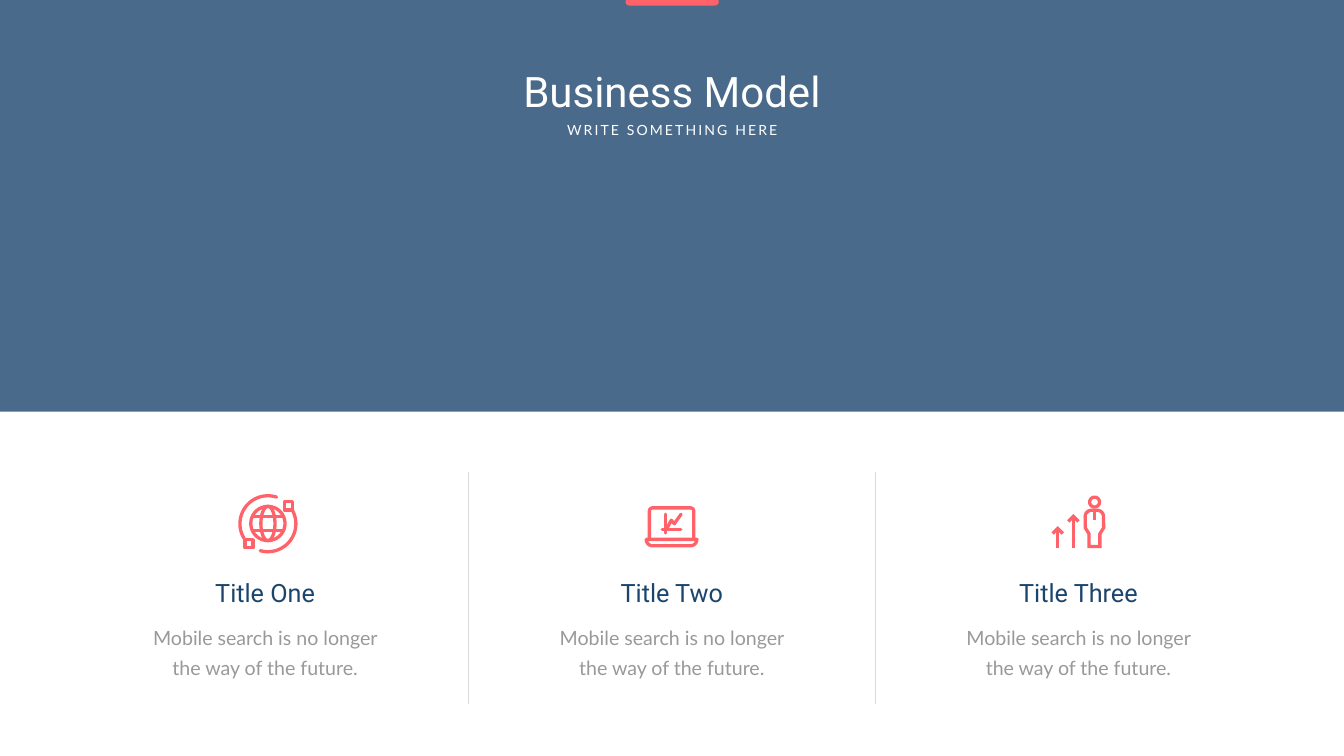
from dataclasses import dataclass
from math import cos, radians, sin

from lxml.etree import SubElement
from pptx import Presentation
from pptx.dml.color import RGBColor
from pptx.enum.shapes import MSO_CONNECTOR, MSO_SHAPE
from pptx.enum.text import MSO_ANCHOR, MSO_AUTO_SIZE, PP_ALIGN
from pptx.oxml.ns import qn
from pptx.util import Cm, Pt

Point = tuple[float, float]


@dataclass(frozen=True)
class Theme:
    navy: RGBColor = RGBColor(0x1C, 0x45, 0x6D)
    coral: RGBColor = RGBColor(0xFF, 0x62, 0x69)
    gray: RGBColor = RGBColor(0x99, 0x99, 0x99)
    rule: RGBColor = RGBColor(0xD9, 0xD9, 0xD9)
    white: RGBColor = RGBColor(0xFF, 0xFF, 0xFF)
    heading_font: str = "Roboto"
    text_font: str = "Lato"
    title_size: int = 60
    heading_size: int = 36
    text_size: int = 28
    subtitle_size: int = 20
    icon_stroke: float = 4.7


@dataclass(frozen=True)
class Contour:
    points: list[Point]
    closed: bool = False


@dataclass(frozen=True)
class Part:
    contours: list[Contour]
    rounded: bool = False


@dataclass(frozen=True)
class Column:
    heading: str
    icon: list[Part]


THEME = Theme()
ICON_UNIT = Cm(0.0254)
ICON_CENTER_Y = Cm(26.37)
FIRST_CENTER = 13.36
COLUMN_STEP = 20.49
COLUMN_WIDTH = 13.06


def arc(x: float, y: float, radius: float, start: float, end: float,
        height: float | None = None, steps: int = 36) -> list[Point]:
    angles = [radians(start + (end - start) * step / steps) for step in range(steps + 1)]
    return [(x + radius * cos(angle), y + (height or radius) * sin(angle)) for angle in angles]


def ring(x: float, y: float, radius: float, height: float | None = None) -> Contour:
    return Contour(arc(x, y, radius, 0, 360, height), closed=True)


def square(x: float, y: float, half: float = 8) -> Contour:
    corners = [(x - half, y - half), (x + half, y - half), (x + half, y + half), (x - half, y + half)]
    return Contour(corners, closed=True)


def arrow(x: float, tip: float, bottom: float = 49) -> Part:
    head = Contour([(x - 10, tip + 10), (x, tip), (x + 10, tip + 10)])
    return Part([head, Contour([(x, tip), (x, bottom)])])


GLOBE = [
    Part([ring(5.5, 0.5, 34), ring(5.5, 0.5, 14, 34),
          Contour([(-25.5, -13.5), (36.5, -13.5)]), Contour([(-25.5, 14.5), (36.5, 14.5)])]),
    Part([Contour(arc(5.5, 1, 55.5, -28, 106)), square(46, -34.5)], rounded=True),
    Part([Contour(arc(5.5, 1, 55.5, 149, 288)), square(-32, 40.5)], rounded=True),
]
LAPTOP = [
    Part([
        Contour([(-44.5, 32), *arc(-38, -24, 6.5, 180, 270), *arc(37, -24, 6.5, 270, 360), (43.5, 32)]),
        Contour([*arc(37, 32, 12.75, 0, 90), *arc(-38, 32, 12.75, 90, 180)], closed=True),
    ], rounded=True),
    Part([
        Contour([(-13, -18), (-13, 19.5)]),
        Contour([(-19, 13), (18, 13)]),
        Contour([(-9, 9), (-1, -6), (5, 1), (18.5, -18)]),
    ], rounded=True),
]
PERSON = [
    Part([
        Contour([*arc(26, -13, 12.75, 180, 270), *arc(37, -13, 12.75, 270, 360), (50, 9), (42.5, 21),
                 (42.5, 46), (21, 46), (21, 21), (13.5, 9)], closed=True),
        Contour([(32, -26), (32, -6)]),
    ]),
    Part([ring(32, -42, 9.75)]),
    arrow(-10, -13.5),
    arrow(-41, 10.5),
]
COLUMNS = [Column("Title One", GLOBE), Column("Title Two", LAPTOP), Column("Title Three", PERSON)]


def write_text(box, text: str, *, font: str, size: float, color: RGBColor,
               tracking: float = 0, leading: float | None = None,
               margins: tuple[float, float] = (0.25, 0.13)) -> None:
    frame = box.text_frame
    frame.word_wrap = True
    frame.auto_size = MSO_AUTO_SIZE.SHAPE_TO_FIT_TEXT
    frame.vertical_anchor = MSO_ANCHOR.TOP
    frame.margin_left = frame.margin_right = Cm(margins[0])
    frame.margin_top = frame.margin_bottom = Cm(margins[1])
    para = frame.paragraphs[0]
    para.alignment = PP_ALIGN.CENTER
    para.space_before = Pt(0)
    para.line_spacing = Pt(leading) if leading else 1.0
    span = para.add_run()
    span.text = text
    span.font.name = font
    span.font.size = Pt(size)
    span.font.color.rgb = color
    if tracking:
        span.font._element.set("spc", str(int(tracking * 100)))


def place(box, left: float, top: float, width: float, height: float) -> None:
    box.left, box.top, box.width, box.height = Cm(left), Cm(top), Cm(width), Cm(height)


def draw_block(slide, kind: MSO_SHAPE, bounds: tuple[float, float, float, float], color: RGBColor):
    block = slide.shapes.add_shape(kind, *map(Cm, bounds))
    block.shadow.inherit = False
    block.fill.solid()
    block.fill.fore_color.rgb = color
    block.line.fill.background()
    return block


def draw_divider(slide, x: float) -> None:
    divider = slide.shapes.add_connector(MSO_CONNECTOR.STRAIGHT, Cm(x), Cm(23.8), Cm(x), Cm(35.48))
    divider.line.color.rgb = THEME.rule
    divider.line.width = Pt(0.5)
    SubElement(divider._element.spPr, qn("a:effectLst"))


def draw_part(shapes, part: Part, center: float) -> None:
    paths = [[(x * ICON_UNIT, y * ICON_UNIT) for x, y in contour.points] for contour in part.contours]
    builder = shapes.build_freeform(*paths[0][0], scale=1.0)
    for contour, points in zip(part.contours, paths):
        if points is not paths[0]:
            builder.move_to(*points[0])
        builder.add_line_segments(points[1:], close=contour.closed)
    outline = builder.convert_to_shape(Cm(center), ICON_CENTER_Y)
    outline.shadow.inherit = False
    outline.fill.background()
    outline.line.color.rgb = THEME.coral
    outline.line.width = Pt(THEME.icon_stroke)
    stroke = outline.line._get_or_add_ln()
    stroke.set("cap", "rnd" if part.rounded else "flat")
    if part.rounded:
        SubElement(stroke, qn("a:round"))
    else:
        SubElement(stroke, qn("a:miter"), lim="800000")


def draw_column(slide, column: Column, center: float) -> None:
    left = center - COLUMN_WIDTH / 2
    body = slide.shapes.add_textbox(Cm(left), Cm(30.89), Cm(COLUMN_WIDTH), Cm(3.51))
    write_text(body, "Mobile search is no longer the way of the future.", font=THEME.text_font,
               size=THEME.text_size, color=THEME.gray, leading=43, margins=(0.61, 0.3))
    heading = slide.shapes.add_textbox(Cm(left), Cm(28.96), Cm(COLUMN_WIDTH), Cm(1.8))
    write_text(heading, column.heading, font=THEME.heading_font, size=THEME.heading_size, color=THEME.navy)
    icon = slide.shapes.add_group_shape()
    for part in column.icon:
        draw_part(icon.shapes, part, center)


def main() -> None:
    deck = Presentation()
    deck.slide_width, deck.slide_height = Cm(67.72), Cm(38.1)
    slide = deck.slides.add_slide(deck.slide_layouts[0])

    band = draw_block(slide, MSO_SHAPE.RECTANGLE, (0, -0.1, 67.72, 20.85), THEME.navy)
    band_color = band._element.spPr.find(qn("a:solidFill"))[0]
    SubElement(band_color, qn("a:alpha"), val="80000")
    band._element.getparent().insert(2, band._element)

    title, subtitle = slide.placeholders
    place(title, 21.46, 3.15, 24.79, 2.82)
    write_text(title, "Business Model", font=THEME.heading_font, size=THEME.title_size, color=THEME.white)
    place(subtitle, 26.44, 5.97, 14.86, 1.12)
    write_text(subtitle, "WRITE SOMETHING HERE", font=THEME.text_font, size=THEME.subtitle_size,
               color=THEME.white, tracking=3)
    tab = draw_block(slide, MSO_SHAPE.ROUNDED_RECTANGLE, (31.52, -0.1, 4.7, 0.38), THEME.coral)
    tab.adjustments[0] = 0.5

    for index, column in enumerate(COLUMNS):
        center = FIRST_CENTER + index * COLUMN_STEP
        draw_column(slide, column, center)
        if index < len(COLUMNS) - 1:
            draw_divider(slide, center + COLUMN_STEP / 2)

    deck.save("out.pptx")


if __name__ == "__main__":
    main()
